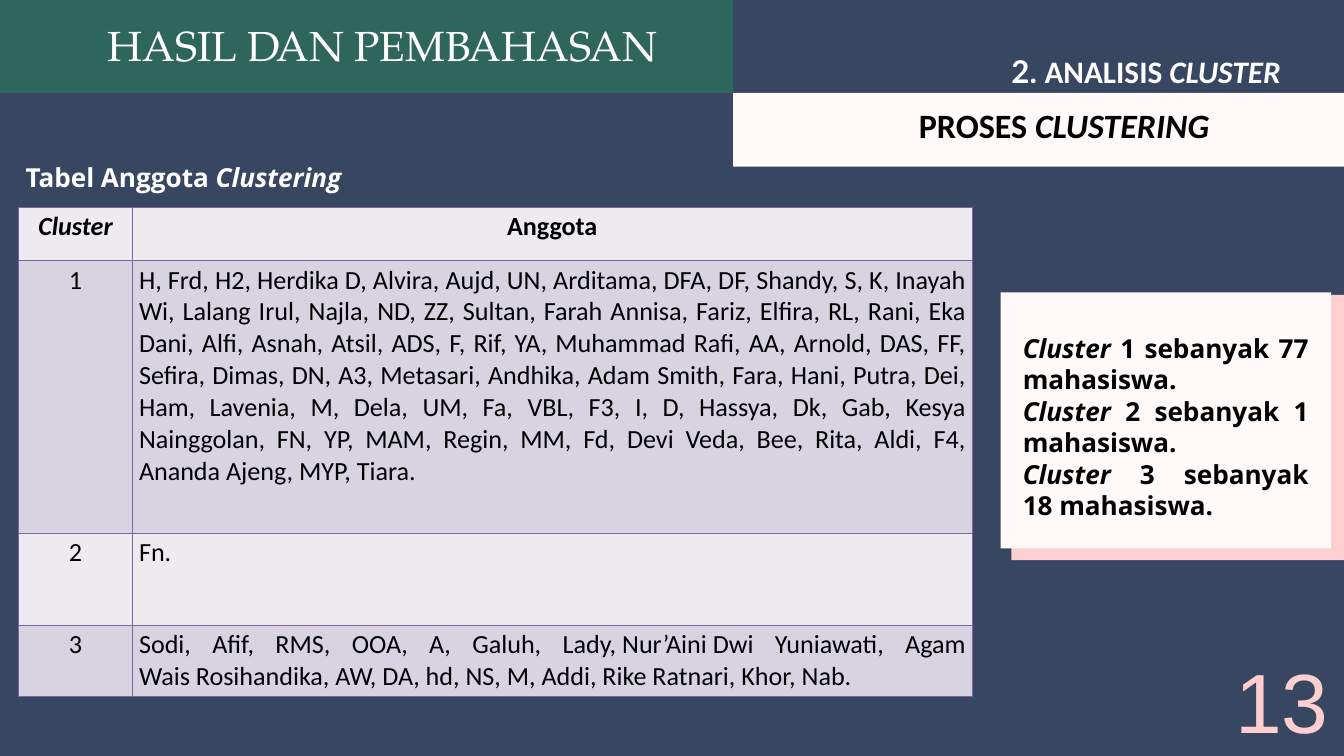
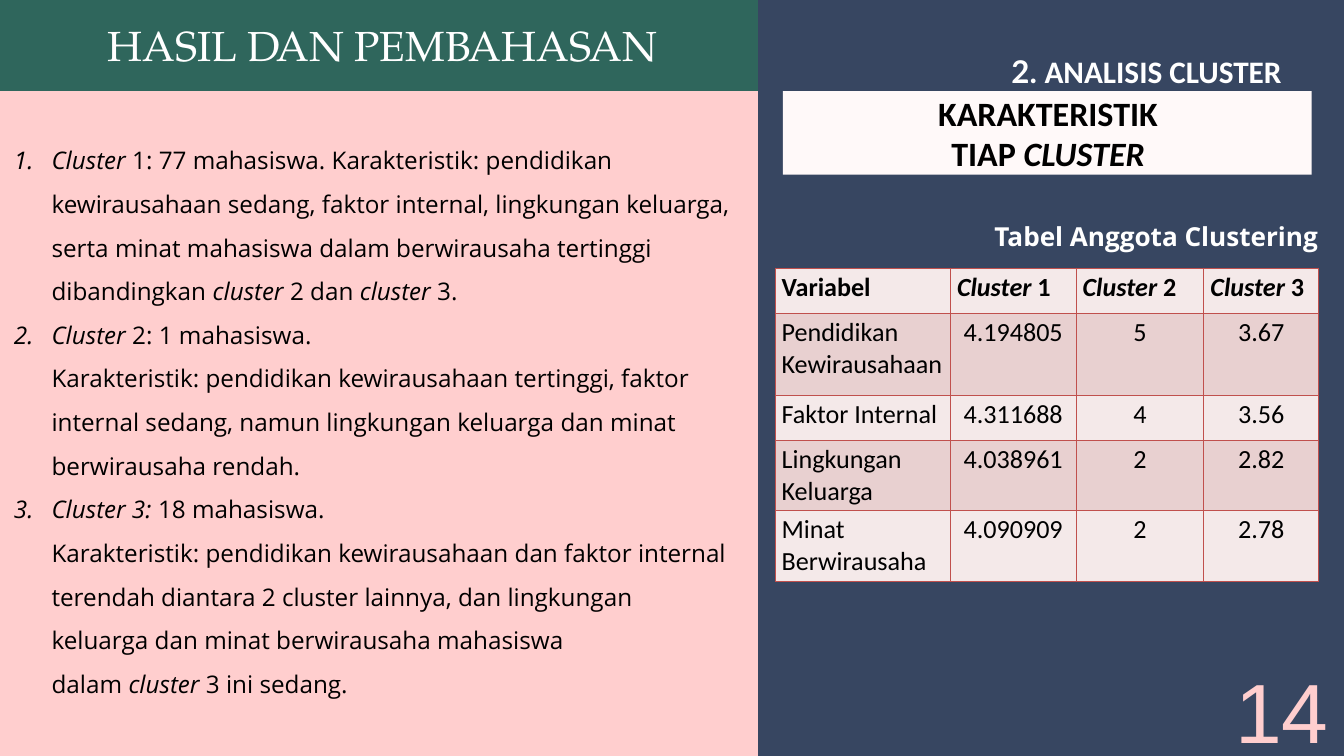
import lxml.etree
import pptx
import pptx.dml.color
import pptx.enum.shapes
import pptx.enum.text
import pptx.oxml.ns
import pptx.util

Cm = pptx.util.Cm
Pt = pptx.util.Pt
RGBColor = pptx.dml.color.RGBColor
Align = pptx.enum.text.PP_ALIGN
Anchor = pptx.enum.text.MSO_ANCHOR
qn = pptx.oxml.ns.qn

NAVY = RGBColor(0x37, 0x46, 0x61)
GREEN = RGBColor(0x2F, 0x66, 0x5C)
PINK = RGBColor(0xFF, 0xCE, 0xCE)
CREAM = RGBColor(0xFF, 0xF9, 0xF9)
WHITE = RGBColor(0xFF, 0xFF, 0xFF)
BLACK = RGBColor(0x00, 0x00, 0x00)
PURPLE = RGBColor(0x80, 0x64, 0xA2)
LILAC_BANDS = (RGBColor(0xED, 0xEA, 0xF0), RGBColor(0xD8, 0xD3, 0xE0))
RED = RGBColor(0xC0, 0x50, 0x4D)
ROSE_BANDS = (RGBColor(0xF4, 0xE9, 0xE9), RGBColor(0xE8, 0xD0, 0xD0))

TITLE = {"name": "TeX Gyre Pagella", "size": Pt(45), "bold": False}
SECTION_NUMBER = {"name": "Lato", "size": Pt(33.5), "bold": True}
SECTION = {**SECTION_NUMBER, "name": "Calibri"}
SUBTITLE = {"name": "Calibri", "size": Pt(36.5), "bold": True}
CAPTION = {"name": "Open Sans", "size": Pt(28), "bold": True}
LIST = {"name": "Open Sans", "size": Pt(26), "bold": False}
TABLE_HEAD = {"name": "Calibri", "size": Pt(28), "bold": True}
TABLE_BODY = {**TABLE_HEAD, "bold": False}
PAGE_NUMBER = {"name": "Arial", "size": Pt(90), "bold": False}

HARD_SPACE = chr(160)

# In all wording, *...* marks italics and ~ a non-breaking space.
MEMBERS = [
    ["*Cluster*", "Anggota"],
    ["1", "H, Frd, H2, Herdika D, Alvira, Aujd, UN, Arditama, DFA, DF, Shandy, S, K, "
     "Inayah Wi, Lalang Irul, Najla, ND, ZZ, Sultan, Farah Annisa, Fariz, Elfira, RL, "
     "Rani, Eka Dani, Alfi, Asnah, Atsil, ADS, F, Rif, YA, Muhammad Rafi, AA, Arnold, "
     "DAS, FF, Sefira, Dimas, DN, A3, Metasari, Andhika, Adam Smith, Fara, Hani, Putra, "
     "Dei, Ham, Lavenia, M, Dela, UM, Fa, VBL, F3, I, D, Hassya, Dk, Gab, Kesya "
     "Nainggolan, FN, YP, MAM, Regin, MM, Fd, Devi Veda, Bee, Rita, Aldi, F4, Ananda "
     "Ajeng, MYP, Tiara."],
    ["2", "Fn."],
    ["3", "Sodi, Afif, RMS, OOA, A, Galuh, Lady,~Nur’Aini~Dwi Yuniawati, Agam "
     "Wais~Rosihandika, AW, DA,~hd, NS, M,~Addi, Rike~Ratnari,~Khor,~Nab."],
]
CLUSTER_SIZES = [
    "*Cluster* 1 sebanyak 77 mahasiswa.",
    "*Cluster* 2 sebanyak 1 mahasiswa.",
    "*Cluster* 3 sebanyak 18~mahasiswa.",
]
CHARACTERISTICS = [
    "*Cluster* 1: 77 mahasiswa.~Karakteristik:~pendidikan kewirausahaan sedang, faktor "
    "internal,~lingkungan keluarga, serta minat mahasiswa dalam berwirausaha tertinggi "
    "dibandingkan *cluster* 2 dan *cluster* 3.",
    "*Cluster~*2: 1~mahasiswa. Karakteristik:~pendidikan~kewirausahaan~tertinggi,~faktor "
    "internal~sedang,~namun~lingkungan~keluarga~dan~minat berwirausaha~rendah.",
    "*Cluster 3:~*18~mahasiswa. Karakteristik:~pendidikan~kewirausahaan~dan~faktor~internal "
    "terendah diantara~2 cluster~lainnya, dan~lingkungan keluarga~dan~minat~berwirausaha"
    "~mahasiswa dalam~*cluster~*3~ini~sedang.",
]
AVERAGES = [
    ["Variabel", "*Cluster* 1", "*Cluster* 2", "*Cluster* 3"],
    ["Pendidikan Kewirausahaan", "4.194805", "5", "3.67"],
    ["Faktor Internal", "4.311688", "4", "3.56"],
    ["Lingkungan Keluarga", "4.038961", "2", "2.82"],
    ["Minat Berwirausaha", "4.090909", "2", "2.78"],
]


def place(shape, box):
    for name, value in zip(("left", "top", "width", "height"), box):
        setattr(shape, name, Cm(value))


def set_frame(frame, margin=0, anchor=Anchor.TOP):
    frame.word_wrap = True
    frame.auto_size = pptx.enum.text.MSO_AUTO_SIZE.NONE
    frame.vertical_anchor = anchor
    for side in ("left", "top", "right", "bottom"):
        setattr(frame, f"margin_{side}", Cm(margin))


def add_runs(paragraph, text, style, color):
    """Write text as runs, with the parts between asterisks in italics."""
    for index, part in enumerate(text.replace("~", HARD_SPACE).split("*")):
        if part:
            run = paragraph.add_run()
            run.text = part
            for name, value in {**style, "italic": index % 2 == 1}.items():
                setattr(run.font, name, value)
            run.font.color.rgb = color


def write_lines(frame, lines, style, color, alignment, spacing=None):
    for index, line in enumerate(lines):
        paragraph = frame.add_paragraph() if index else frame.paragraphs[0]
        paragraph.alignment = alignment
        paragraph.line_spacing = spacing
        add_runs(paragraph, line, style, color)


def add_text(slide, box, lines, style, color, alignment=Align.LEFT, spacing=None,
             margin=0, anchor=Anchor.TOP):
    frame = slide.shapes.add_textbox(*map(Cm, box)).text_frame
    set_frame(frame, margin, anchor)
    write_lines(frame, lines, style, color, alignment, spacing)
    return frame


def add_panel(slide, box, color):
    panel = slide.shapes.add_shape(pptx.enum.shapes.MSO_SHAPE.RECTANGLE, *map(Cm, box))
    panel.shadow.inherit = False
    panel.fill.solid()
    panel.fill.fore_color.rgb = color
    panel.line.fill.background()


def number_paragraphs(frame, indent):
    for paragraph in frame.paragraphs:
        properties = paragraph._p.get_or_add_pPr()
        properties.set("marL", str(Cm(indent)))
        properties.set("indent", str(-Cm(indent)))
        lxml.etree.SubElement(properties, qn("a:buFont"), typeface="+mj-lt")
        lxml.etree.SubElement(properties, qn("a:buAutoNum"), type="arabicPeriod")


def add_borders(cell, color):
    properties = cell._tc.get_or_add_tcPr()
    for side in ("lnL", "lnR", "lnT", "lnB"):
        line = lxml.etree.SubElement(properties, qn(f"a:{side}"), w=str(Pt(1)))
        fill = lxml.etree.SubElement(line, qn("a:solidFill"))
        lxml.etree.SubElement(fill, qn("a:srgbClr"), val=str(color))


def add_banded_table(slide, left, top, widths, heights, rows, bands, border,
                     head_alignment, alignments):
    box = (left, top, sum(widths), sum(heights))
    table = slide.shapes.add_table(len(rows), len(widths), *map(Cm, box)).table
    for column, width in zip(table.columns, widths):
        column.width = Cm(width)
    for row, height in zip(table.rows, heights):
        row.height = Cm(height)
    for row_index, texts in enumerate(rows):
        style = TABLE_BODY if row_index else TABLE_HEAD
        for column_index, text in enumerate(texts):
            cell = table.cell(row_index, column_index)
            add_borders(cell, border)
            cell.fill.solid()
            cell.fill.fore_color.rgb = bands[row_index % 2]
            alignment = alignments[column_index] if row_index else head_alignment
            write_lines(cell.text_frame, [text], style, BLACK, alignment)


def add_base_slide(presentation, band_width, section):
    """Add a slide with the navy ground, green title band and section label."""
    slide = presentation.slides.add_slide(presentation.slide_layouts[5])
    slide.background.fill.solid()
    slide.background.fill.fore_color.rgb = NAVY
    add_panel(slide, (0, 0, band_width, 3.51), GREEN)

    title = slide.shapes.title
    title.element.getparent().append(title.element)  # in front of the band
    place(title, (3.96, 0.41, 20.98, 2.24))
    set_frame(title.text_frame)
    write_lines(title.text_frame, ["HASIL DAN PEMBAHASAN"], TITLE, WHITE,
                Align.CENTER, Pt(63))

    label = add_text(slide, (38.23, 1.7, 11.61, 1.7), ["2. "], SECTION_NUMBER, WHITE,
                     spacing=Pt(47.6))
    add_runs(label.paragraphs[0], section, SECTION, WHITE)
    return slide


def add_page_number(slide, number, top):
    add_text(slide, (46.1, top, 4.7, 3.05), [str(number)], PAGE_NUMBER, PINK,
             Align.CENTER, 0.9, margin=0.25, anchor=Anchor.BOTTOM)


def add_members_slide(presentation):
    slide = add_base_slide(presentation, 27.71, "ANALISIS *CLUSTER*")
    add_panel(slide, (27.71, 3.51, 23.09, 2.79), CREAM)
    add_text(slide, (32.36, 3.94, 15.72, 1.47), ["PROSES *CLUSTERING*"], SUBTITLE,
             BLACK, Align.CENTER)
    add_text(slide, (0, 6.12, 13.87, 1.19), ["Tabel Anggota *Clustering*"], CAPTION,
             WHITE, Align.CENTER)
    add_banded_table(slide, 0.71, 7.85, (4.29, 31.75), (2.01, 10.31, 3.48, 2.62),
                     MEMBERS, LILAC_BANDS, PURPLE,
                     Align.CENTER, (Align.CENTER, Align.JUSTIFY))
    add_panel(slide, (38.23, 11.15, 12.57, 10.03), PINK)
    add_panel(slide, (37.82, 11.05, 12.5, 9.68), CREAM)
    add_text(slide, (38.66, 12.57, 10.8, 6.99), CLUSTER_SIZES, CAPTION, BLACK,
             Align.JUSTIFY)
    add_page_number(slide, 13, 25.6)


def add_characteristics_slide(presentation):
    slide = add_base_slide(presentation, 28.65, "ANALISIS CLUSTER")
    add_panel(slide, (0, 3.45, 28.65, 25.13), PINK)
    add_panel(slide, (29.59, 3.45, 19.99, 3.15), CREAM)
    add_text(slide, (29.72, 3.48, 19.79, 2.97), ["KARAKTERISTIK", "TIAP *CLUSTER*"],
             SUBTITLE, BLACK, Align.CENTER)
    add_text(slide, (34.16, 8.33, 15.65, 1.19), ["Tabel Anggota Clustering"], CAPTION,
             WHITE, Align.RIGHT)
    points = add_text(slide, (0.53, 4.95, 27.15, 21.49), CHARACTERISTICS, LIST, BLACK,
                      spacing=1.5)
    number_paragraphs(points, 1.42)
    add_banded_table(slide, 29.29, 10.13, (6.63, 4.75, 4.83, 4.34),
                     (1.7, 3.1, 1.7, 2.64, 2.64), AVERAGES, ROSE_BANDS, RED,
                     Align.LEFT, (Align.LEFT, *[Align.CENTER] * 3))
    add_page_number(slide, 14, 25.98)


def main():
    presentation = pptx.Presentation()
    presentation.slide_width = Cm(50.8)
    presentation.slide_height = Cm(28.58)
    add_members_slide(presentation)
    add_characteristics_slide(presentation)
    presentation.save("out.pptx")


if __name__ == "__main__":
    main()
